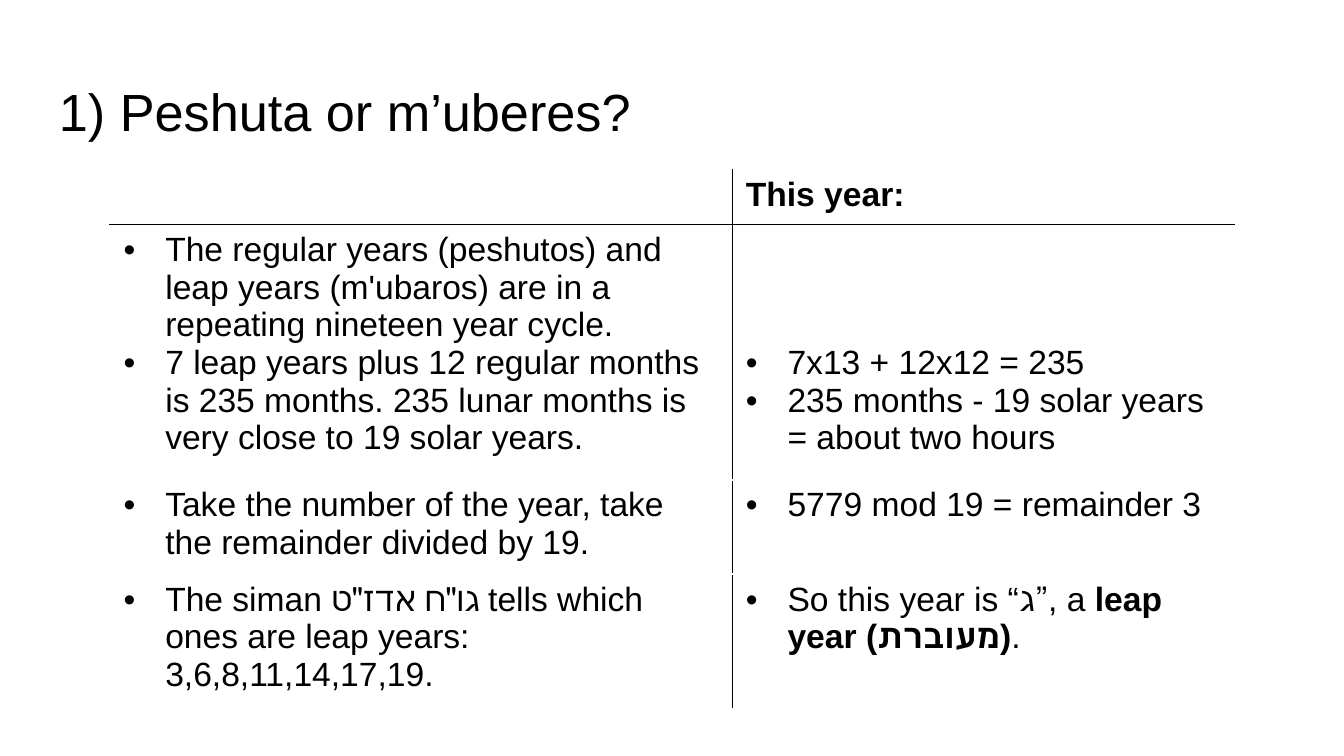
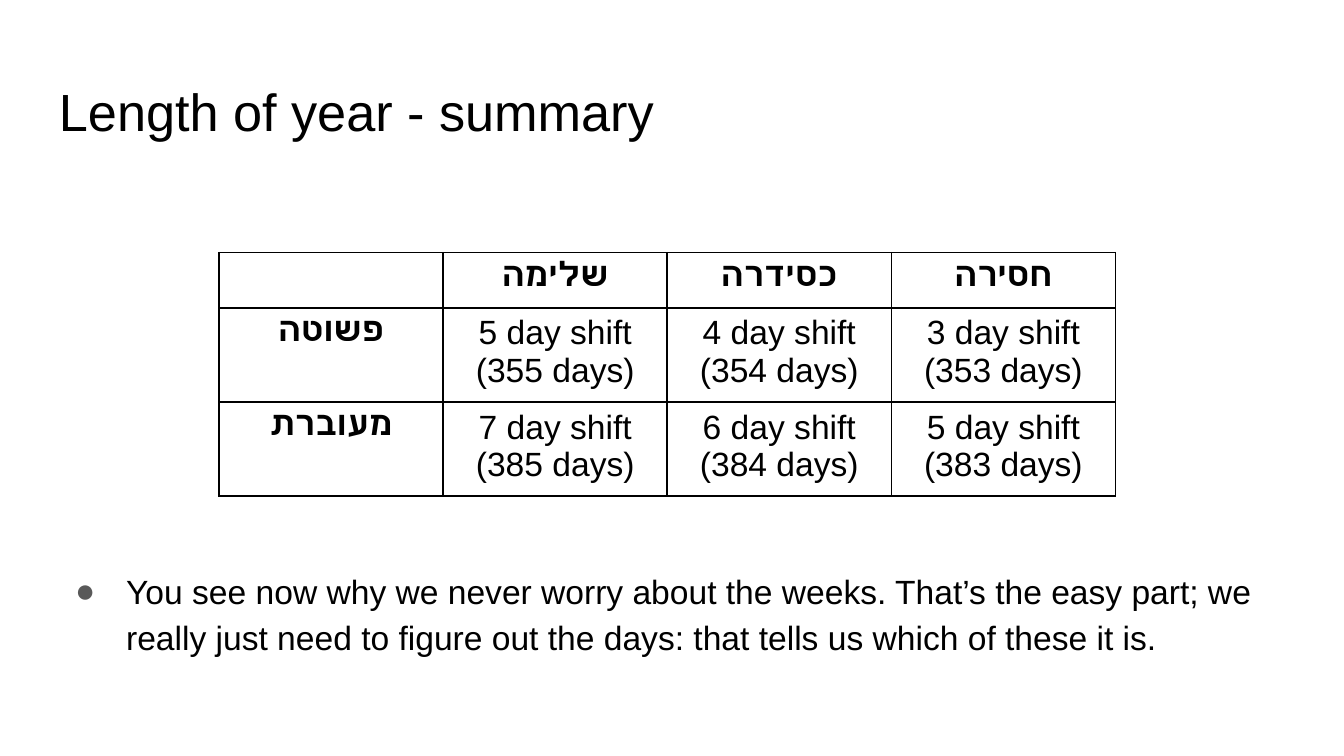
from dataclasses import dataclass
from typing import NamedTuple, Optional, Union

from lxml.etree import SubElement
from pptx import Presentation
from pptx.dml.color import RGBColor
from pptx.enum.text import MSO_ANCHOR, PP_ALIGN
from pptx.oxml.ns import qn
from pptx.slide import Slide
from pptx.table import Table, _Cell
from pptx.text.text import TextFrame, _Paragraph
from pptx.util import Inches, Pt

BLACK = RGBColor(0x00, 0x00, 0x00)
WHITE = RGBColor(0xFF, 0xFF, 0xFF)
GREY = RGBColor(0x59, 0x59, 0x59)
FONT = "Arial"
BODY_SIZE = 18
TITLE_SIZE = 28
ROW_HEIGHT = 0.41
CELL_MARGIN = 0.05
BODY_LINE = 0.28


class Run(NamedTuple):
    text: str
    bold: bool = False


Text = Union[str, list[Run]]


@dataclass(frozen=True)
class Bullet:
    character: str
    color: RGBColor
    left: float
    hanging: float


@dataclass(frozen=True)
class CellContent:
    paragraphs: tuple[Text, ...] = ()
    skipped_lines: int = 0


@dataclass(frozen=True)
class Borders:
    left: RGBColor = BLACK
    right: RGBColor = BLACK
    top: RGBColor = BLACK
    bottom: RGBColor = BLACK


TABLE_BULLET = Bullet("•", BLACK, 0.31, 0.31)
BODY_BULLET = Bullet("●", GREY, 0.5, 0.38)

LEAP_YEAR_STEPS = [
    (
        CellContent((
            "The regular years (peshutos) and leap years (m'ubaros) are in a "
            "repeating nineteen year cycle.",
            "7 leap years plus 12 regular months is 235 months. 235 lunar months "
            "is very close to 19 solar years.",
        )),
        CellContent(
            ("7x13 + 12x12 = 235", "235 months - 19 solar years = about two hours"),
            skipped_lines=3,
        ),
    ),
    (
        CellContent(("Take the number of the year, take the remainder divided by 19.",)),
        CellContent(("5779 mod 19 = remainder 3",)),
    ),
    (
        CellContent((
            'The siman גו"ח אדז"ט tells which ones are leap years: 3,6,8,11,14,17,19.',
        )),
        CellContent((
            [Run("So this year is “ג”, a "), Run("leap year (מעוברת)", True), Run(".")],
        )),
    ),
]

YEAR_LENGTHS = [
    ("", "שלימה", "כסידרה", "חסירה"),
    ("פשוטה", "5 day shift (355 days)", "4 day shift (354 days)", "3 day shift (353 days)"),
    ("מעוברת", "7 day shift (385 days)", "6 day shift (384 days)", "5 day shift (383 days)"),
]


def add_bullet(paragraph: _Paragraph, bullet: Bullet) -> None:
    properties = paragraph._p.get_or_add_pPr()
    properties.set("marL", str(Inches(bullet.left)))
    properties.set("indent", str(-Inches(bullet.hanging)))
    color = SubElement(properties, qn("a:buClr"))
    SubElement(color, qn("a:srgbClr"), val=str(bullet.color))
    SubElement(properties, qn("a:buFont"), typeface=FONT)
    SubElement(properties, qn("a:buChar"), char=bullet.character)


def write_text(
    frame: TextFrame,
    *paragraphs: Text,
    size: int = BODY_SIZE,
    bold: bool = False,
    color: RGBColor = BLACK,
    align: PP_ALIGN = PP_ALIGN.LEFT,
    bullet: Optional[Bullet] = None,
    line_spacing: float = 1.0,
) -> None:
    for index, text in enumerate(paragraphs):
        paragraph = frame.add_paragraph() if index else frame.paragraphs[0]
        paragraph.alignment = align
        paragraph.line_spacing = line_spacing
        if bullet:
            add_bullet(paragraph, bullet)
        for part in [Run(text, bold)] if isinstance(text, str) else text:
            run = paragraph.add_run()
            run.text = part.text
            run.font.name = FONT
            run.font.size = Pt(size)
            run.font.bold = part.bold
            run.font.color.rgb = color


def add_text_frame(
    slide: Slide, left: float, top: float, width: float, height: float
) -> TextFrame:
    box = slide.shapes.add_textbox(Inches(left), Inches(top), Inches(width), Inches(height))
    frame = box.text_frame
    frame.word_wrap = True
    frame.vertical_anchor = MSO_ANCHOR.TOP
    frame.margin_left = frame.margin_right = Inches(0.1)
    frame.margin_top = frame.margin_bottom = Inches(0.1)
    return frame


def add_titled_slide(presentation: Presentation, title: str) -> Slide:
    slide = presentation.slides.add_slide(presentation.slide_layouts[6])
    write_text(add_text_frame(slide, 0.34, 0.49, 9.32, 0.63), title, size=TITLE_SIZE)
    return slide


def add_plain_table(
    slide: Slide, left: float, top: float, widths: list[float], row_count: int
) -> Table:
    """Add a table without header or banding emphasis."""
    table = slide.shapes.add_table(
        row_count, len(widths), Inches(left), Inches(top),
        Inches(sum(widths)), Inches(ROW_HEIGHT * row_count),
    ).table
    table.first_row = table.horz_banding = False
    for column, width in zip(table.columns, widths):
        column.width = Inches(width)
    for row in table.rows:
        row.height = Inches(ROW_HEIGHT)
    return table


def format_cell(cell: _Cell, borders: Borders, fill: Optional[RGBColor] = None) -> None:
    cell.margin_left = cell.margin_right = Inches(0.1)
    cell.margin_top = cell.margin_bottom = Inches(CELL_MARGIN)
    properties = cell._tc.get_or_add_tcPr()
    sides = {"L": borders.left, "R": borders.right, "T": borders.top, "B": borders.bottom}
    for side, color in sides.items():
        line = SubElement(properties, qn(f"a:ln{side}"), w=str(Pt(1)))
        solid = SubElement(line, qn("a:solidFill"))
        SubElement(solid, qn("a:srgbClr"), val=str(color))
    if fill is None:
        cell.fill.background()
    else:
        cell.fill.solid()
        cell.fill.fore_color.rgb = fill


def build_leap_year_slide(presentation: Presentation) -> None:
    slide = add_titled_slide(presentation, "1) Peshuta or m’uberes?")
    table = add_plain_table(slide, 0.82, 1.26, [4.63, 3.73], len(LEAP_YEAR_STEPS) + 1)
    for row_index in range(len(table.rows)):
        for column_index in range(len(table.columns)):
            format_cell(
                table.cell(row_index, column_index),
                Borders(
                    left=BLACK if column_index == 1 else WHITE,
                    right=BLACK if column_index == 0 else WHITE,
                    top=BLACK if row_index == 1 else WHITE,
                    bottom=BLACK if row_index == 0 else WHITE,
                ),
            )
    write_text(table.cell(0, 1).text_frame, "This year:", bold=True)
    for row_index, step in enumerate(LEAP_YEAR_STEPS, start=1):
        for column_index, content in enumerate(step):
            cell = table.cell(row_index, column_index)
            cell.margin_top = Inches(CELL_MARGIN + content.skipped_lines * BODY_LINE)
            write_text(cell.text_frame, *content.paragraphs, bullet=TABLE_BULLET)


def build_summary_slide(presentation: Presentation) -> None:
    slide = add_titled_slide(presentation, "Length of year - summary")
    write_text(
        add_text_frame(slide, 0.34, 4.1, 9.25, 1.12),
        "You see now why we never worry about the weeks. That’s the easy part; we really "
        "just need to figure out the days: that tells us which of these it is.",
        bullet=BODY_BULLET, line_spacing=1.15,
    )
    table = add_plain_table(slide, 1.63, 1.88, [6.67 / 4] * 4, len(YEAR_LENGTHS))
    for row_index, row in enumerate(YEAR_LENGTHS):
        for column_index, text in enumerate(row):
            cell = table.cell(row_index, column_index)
            format_cell(cell, Borders(), fill=WHITE)
            if text:
                is_heading = row_index == 0 or column_index == 0
                write_text(cell.text_frame, text, bold=is_heading, align=PP_ALIGN.CENTER)


def main() -> None:
    presentation = Presentation()
    presentation.slide_width = Inches(10)
    presentation.slide_height = Inches(10 * 9 / 16)
    build_leap_year_slide(presentation)
    build_summary_slide(presentation)
    presentation.save("out.pptx")


if __name__ == "__main__":
    main()
